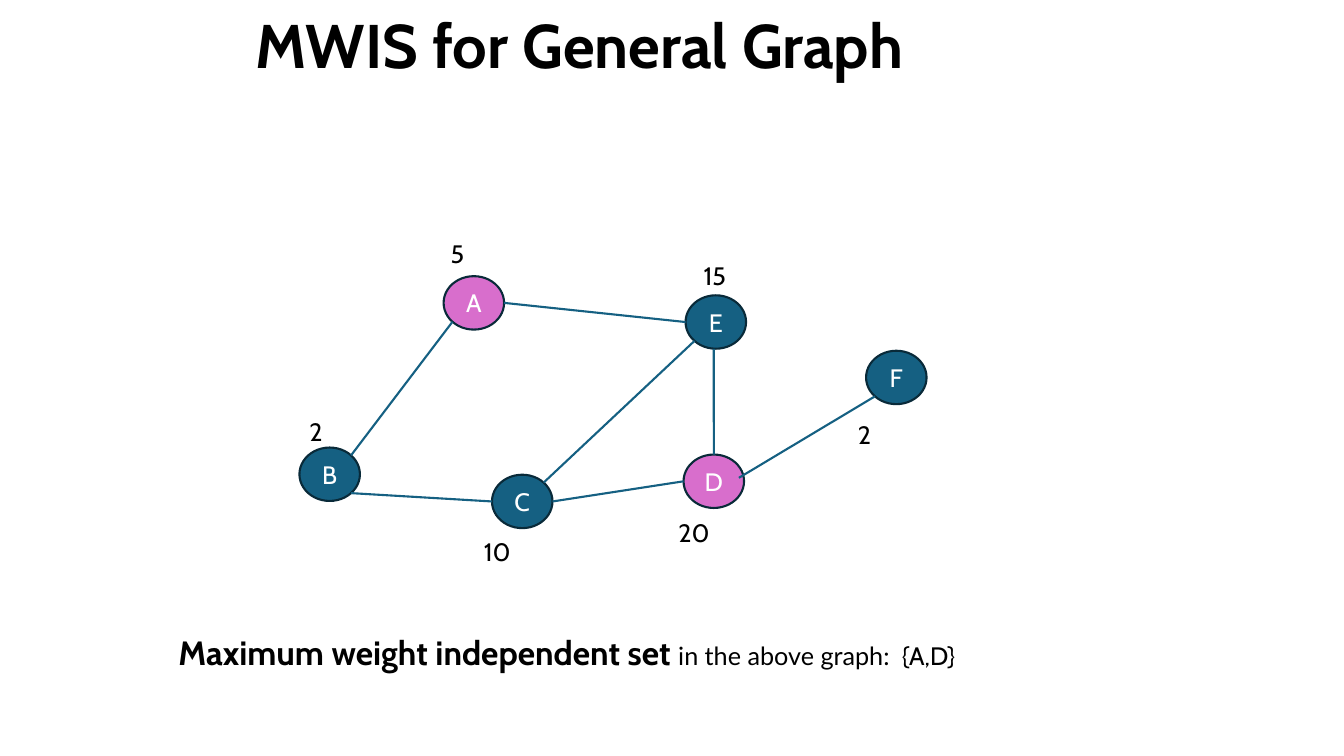
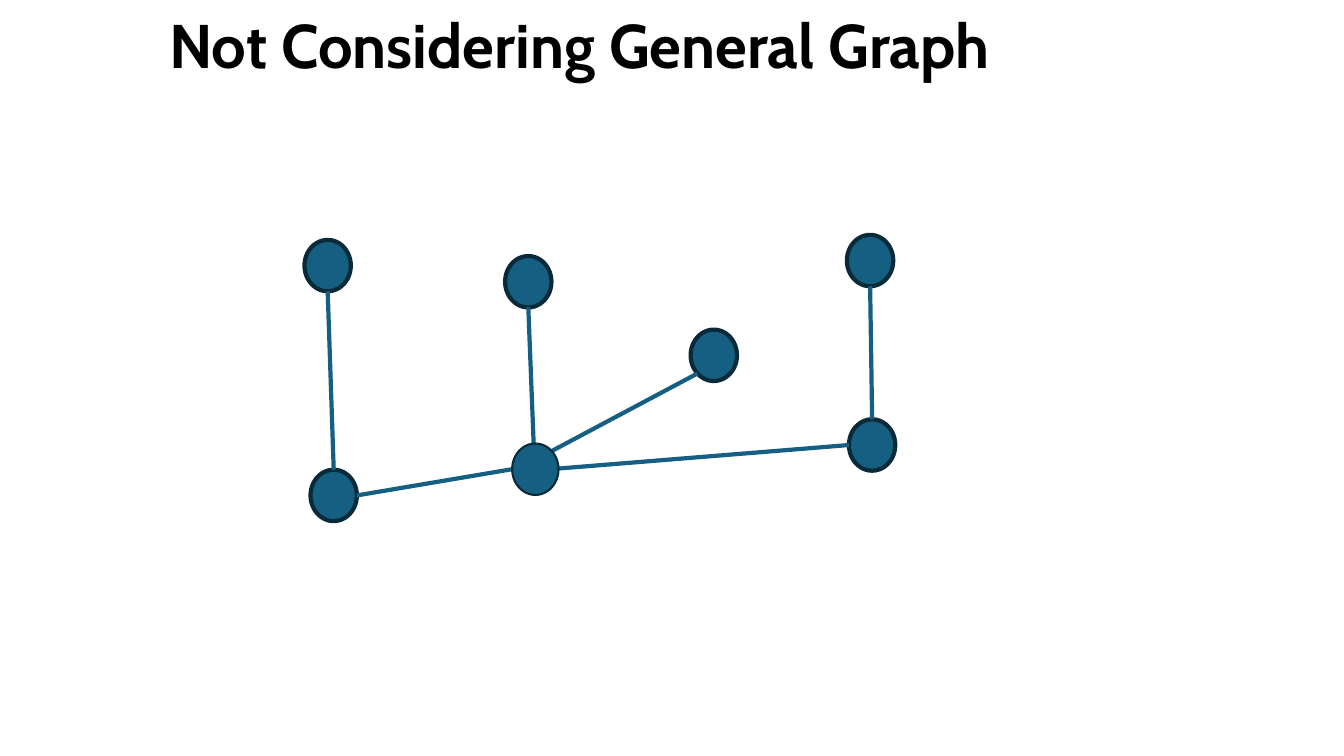
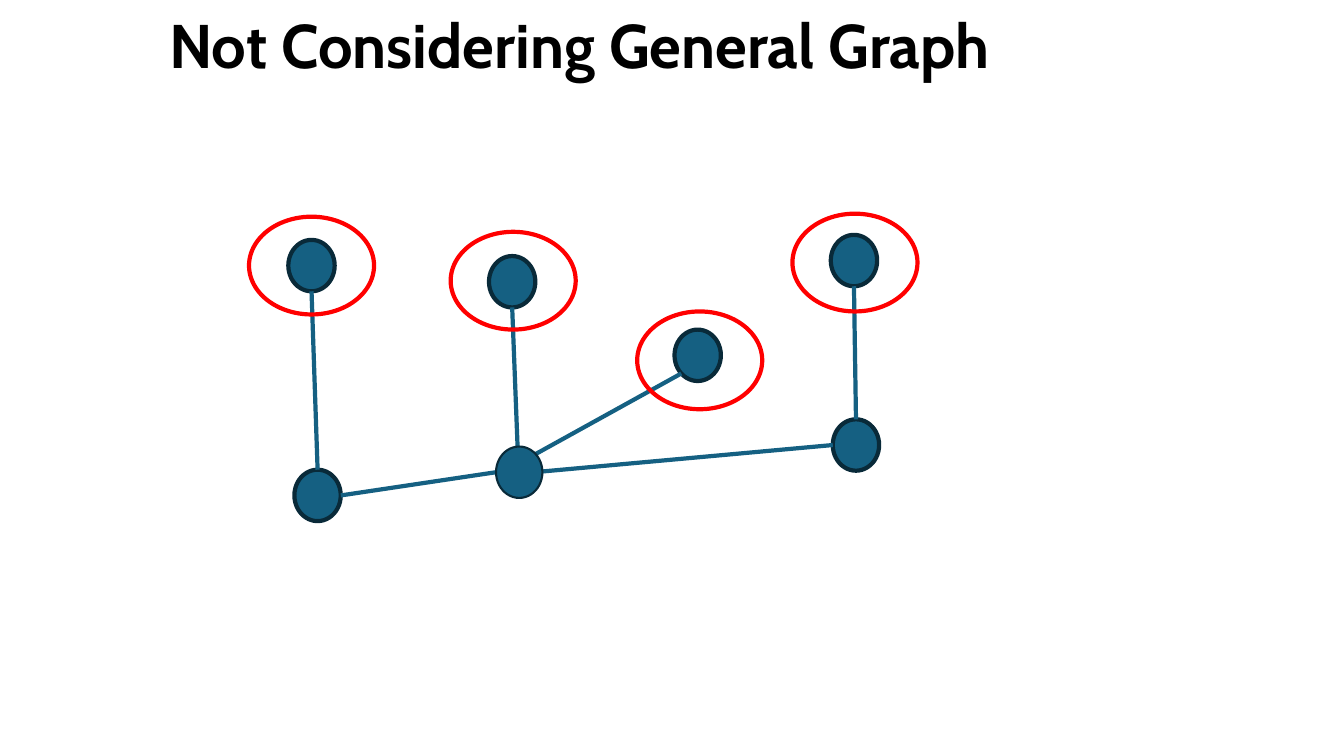
from dataclasses import dataclass, replace
from math import sqrt

from lxml.etree import SubElement
from pptx import Presentation
from pptx.dml.color import RGBColor
from pptx.enum.shapes import MSO_CONNECTOR, MSO_SHAPE
from pptx.enum.text import MSO_ANCHOR, PP_ALIGN
from pptx.oxml.ns import qn
from pptx.shapes.autoshape import Shape
from pptx.slide import Slide
from pptx.text.text import TextFrame
from pptx.util import Inches, Pt

COLORS = {
    "blue": "156082",
    "pink": "D86ECC",
    "outline": "092A39",
    "ring": "FF0000",
    "text": "000000",
    "node_text": "FFFFFF",
}
TITLE = {"size": Pt(44), "name": "Cabin", "bold": True}
STRONG = {"size": Pt(24), "name": "Cabin", "bold": True}
BODY = {"size": Pt(18), "name": "Lato", "bold": False}
LABEL = {"size": Pt(18), "name": "Cabin", "bold": False}

DIAGONAL = sqrt(0.5)
# Attachment sites as fractions of an ellipse's radii, measured from its centre
SITES = {
    "north": (0, -1),
    "south": (0, 1),
    "east": (1, 0),
    "west": (-1, 0),
    "northeast": (DIAGONAL, -DIAGONAL),
    "southeast": (DIAGONAL, DIAGONAL),
    "southwest": (-DIAGONAL, DIAGONAL),
    "inner south": (-0.07, 1),
    "inner east": (0.83, -0.13),
    "deep south": (0, 0.69),
    "deep east": (-0.35 + 1, 0),
}


@dataclass(frozen=True)
class Node:
    left: float
    top: float
    width: float
    height: float
    outline_width: float
    name: str = ""
    fill: str = "blue"
    in_front: bool = False

    def site(self, direction: str) -> tuple[float, float]:
        across, down = SITES[direction]
        return (
            self.left + self.width / 2 * (1 + across),
            self.top + self.height / 2 * (1 + down),
        )


@dataclass(frozen=True)
class Edge:
    start: str
    start_site: str
    end: str
    end_site: str


@dataclass(frozen=True)
class Weight:
    text: str
    left: float
    top: float


def letter_node(name: str, left: float, top: float, fill: str = "blue") -> Node:
    return Node(left, top, 0.6, 0.53, 1.5, name, fill)


def plain_node(left: float, top: float) -> Node:
    return Node(left, top, 0.46, 0.51, 3)


GENERAL_NODES = {
    "A": letter_node("A", 4.4, 2.74, "pink"),
    "B": letter_node("B", 2.97, 4.44),
    "E": letter_node("E", 6.8, 2.93),
    "C": letter_node("C", 4.88, 4.71),
    "D": letter_node("D", 6.78, 4.51, "pink"),
    "F": letter_node("F", 8.59, 3.48),
}
GENERAL_EDGES = [
    Edge("B", "northeast", "A", "southwest"),
    Edge("B", "southeast", "C", "west"),
    Edge("E", "west", "A", "east"),
    Edge("C", "northeast", "E", "southwest"),
    Edge("D", "north", "E", "inner south"),
    Edge("C", "east", "D", "west"),
    Edge("D", "inner east", "F", "southwest"),
]
WEIGHTS = [
    Weight("15", 6.88, 2.53),
    Weight("5", 4.37, 2.32),
    Weight("2", 2.97, 4.08),
    Weight("10", 4.7, 5.27),
    Weight("20", 6.63, 5.08),
    Weight("2", 8.41, 4.11),
]

TREE_NODES = {
    "left leaf": plain_node(3.02, 2.38),
    "middle leaf": plain_node(5.01, 2.54),
    "branch leaf": plain_node(6.85, 3.27),
    "right leaf": plain_node(8.4, 2.33),
    "left parent": plain_node(3.08, 4.66),
    "right parent": plain_node(8.42, 4.16),
    "hub": replace(plain_node(5.08, 4.4), outline_width=1.5, in_front=True),
}
TREE_EDGES = [
    Edge("left leaf", "south", "left parent", "north"),
    Edge("hub", "west", "left parent", "east"),
    Edge("middle leaf", "south", "hub", "deep south"),
    Edge("right parent", "west", "hub", "deep east"),
    Edge("branch leaf", "southwest", "hub", "northeast"),
    Edge("right leaf", "south", "right parent", "north"),
]
RING_POSITIONS = [(2.47, 2.15), (4.47, 2.3), (6.32, 3.09), (7.86, 2.12)]
RING_SHIFT = -0.16
HUB_DROP = 0.03


def color(name: str) -> RGBColor:
    return RGBColor.from_string(COLORS[name])


def write_runs(frame: TextFrame, runs: list[tuple[str, dict]], text_color: str = "text") -> None:
    for text, font_format in runs:
        run = frame.paragraphs[0].add_run()
        run.text = text
        for attribute, value in font_format.items():
            setattr(run.font, attribute, value)
        run.font.color.rgb = color(text_color)


def add_text(slide: Slide, left: float, top: float, width: float, height: float,
             runs: list[tuple[str, dict]]) -> TextFrame:
    box = slide.shapes.add_textbox(Inches(left), Inches(top), Inches(width), Inches(height))
    frame = box.text_frame
    frame.word_wrap = True
    write_runs(frame, runs)
    return frame


def add_title(slide: Slide, text: str) -> None:
    frame = add_text(slide, 0, 0, 11.5, 0.96, [(text, TITLE)])
    frame.vertical_anchor = MSO_ANCHOR.MIDDLE
    frame.paragraphs[0].alignment = PP_ALIGN.CENTER
    frame.paragraphs[0].line_spacing = 0.9


def add_ellipse(slide: Slide, left: float, top: float, width: float, height: float,
                line_color: str, line_width: float) -> Shape:
    shape = slide.shapes.add_shape(
        MSO_SHAPE.OVAL, Inches(left), Inches(top), Inches(width), Inches(height))
    shape.shadow.inherit = False
    shape.fill.background()
    shape.line.color.rgb = color(line_color)
    shape.line.width = Pt(line_width)
    return shape


def add_node(slide: Slide, node: Node) -> None:
    shape = add_ellipse(slide, node.left, node.top, node.width, node.height,
                        "outline", node.outline_width)
    shape.fill.solid()
    shape.fill.fore_color.rgb = color(node.fill)
    if node.name:
        frame = shape.text_frame
        frame.vertical_anchor = MSO_ANCHOR.MIDDLE
        frame.paragraphs[0].alignment = PP_ALIGN.CENTER
        write_runs(frame, [(node.name, LABEL)], "node_text")


def add_edge(slide: Slide, nodes: dict[str, Node], edge: Edge, width: float) -> None:
    points = nodes[edge.start].site(edge.start_site) + nodes[edge.end].site(edge.end_site)
    connector = slide.shapes.add_connector(
        MSO_CONNECTOR.STRAIGHT, *(Inches(value) for value in points))
    connector.line.color.rgb = color("blue")
    connector.line.width = Pt(width)
    SubElement(connector._element.spPr, qn("a:effectLst"))


def add_graph(slide: Slide, nodes: dict[str, Node], edges: list[Edge], edge_width: float) -> None:
    """Draw the nodes, the edges over them, then the nodes that cover edge ends."""
    for node in nodes.values():
        if not node.in_front:
            add_node(slide, node)
    for edge in edges:
        add_edge(slide, nodes, edge, edge_width)
    for node in nodes.values():
        if node.in_front:
            add_node(slide, node)


def new_slide(presentation: Presentation, title: str) -> Slide:
    slide = presentation.slides.add_slide(presentation.slide_layouts[6])
    add_title(slide, title)
    return slide


def build_general_graph(presentation: Presentation) -> None:
    slide = new_slide(presentation, "MWIS for General Graph")
    add_graph(slide, GENERAL_NODES, GENERAL_EDGES, 1.5)
    for weight in WEIGHTS:
        add_text(slide, weight.left, weight.top, 1.1, 0.4, [(weight.text, LABEL)])
    add_text(slide, 1.67, 6.22, 8.77, 0.81, [
        ("Maximum weight independent set ", STRONG),
        ("in the above graph: ", BODY),
        (" {A,D}", LABEL),
    ])


def build_tree(presentation: Presentation, ringed: bool) -> None:
    slide = new_slide(presentation, "Not Considering General Graph")
    nodes = TREE_NODES
    if ringed:
        nodes = {
            name: replace(node, left=node.left + RING_SHIFT,
                          top=node.top + HUB_DROP * node.in_front)
            for name, node in TREE_NODES.items()
        }
    add_graph(slide, nodes, TREE_EDGES, 3)
    if ringed:
        for left, top in RING_POSITIONS:
            add_ellipse(slide, left, top, 1.24, 0.97, "ring", 3)


def main() -> None:
    presentation = Presentation()
    presentation.slide_width = Inches(13.33)
    presentation.slide_height = Inches(7.5)
    build_general_graph(presentation)
    build_tree(presentation, ringed=False)
    build_tree(presentation, ringed=True)
    presentation.save("out.pptx")


if __name__ == "__main__":
    main()
